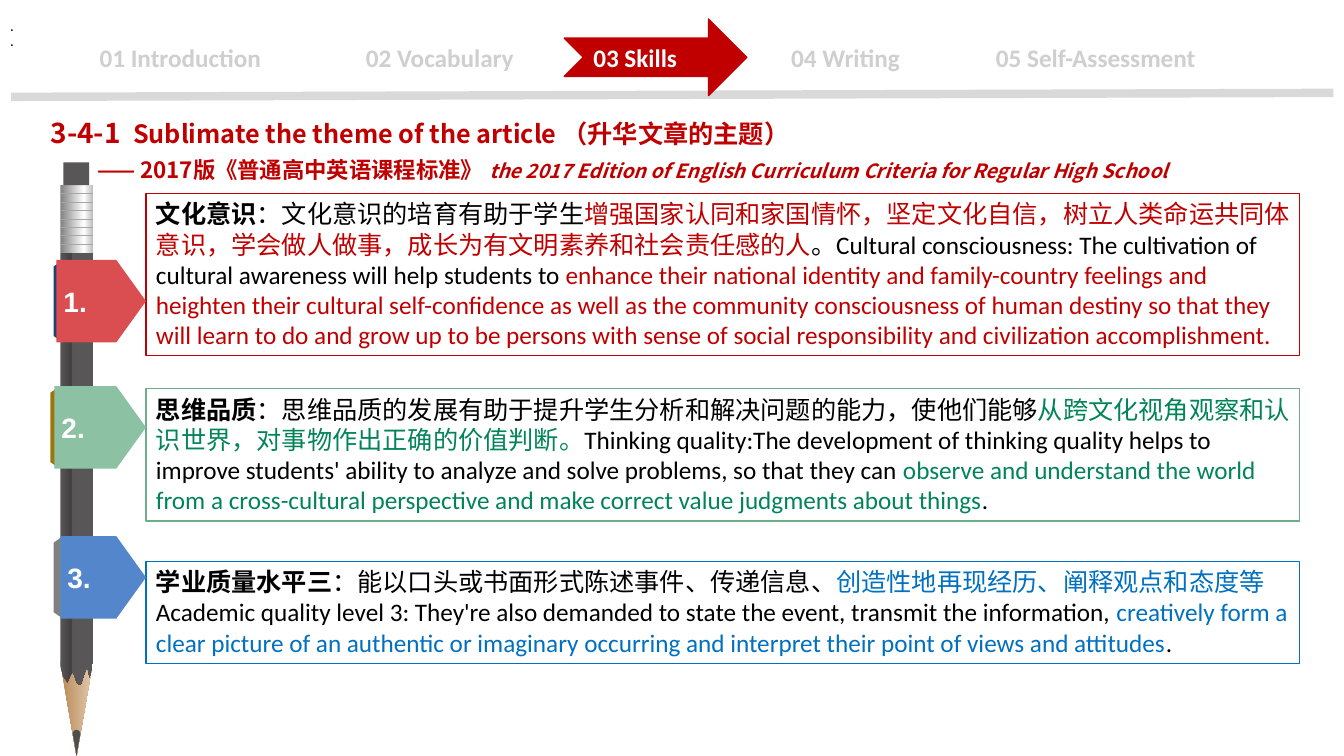
from lxml.etree import SubElement
from pptx import Presentation
from pptx.dml.color import RGBColor
from pptx.enum.shapes import MSO_CONNECTOR as Connector, MSO_SHAPE as Preset
from pptx.enum.text import MSO_ANCHOR as Anchor, MSO_AUTO_SIZE as AutoSize, PP_ALIGN as Align
from pptx.oxml.ns import qn
from pptx.util import Cm, Pt

COLORS = {
    "white": "FFFFFF", "black": "000000", "red": "C00000", "green": "028458", "blue": "0070C0",
    "green_edge": "6DAD8A", "nav": "D0CECE", "rule": "D9D9D9",
    "red_tag": "DA4E51", "green_tag": "8CC1A3", "blue_tag": "5486CB",
    "red_fold": "21426E", "green_fold": "9C750F", "blue_fold": "808080",
    "graphite": "585656", "groove": "424040", "lead": "4C504C",
    "steel": "808080", "silver": "BFBFBF", "ring": "A6A6A6",
    "wood": "B88954", "light_wood": "E1C9AF",
}
CJK = "Noto Sans CJK SC"
NAV_ITEMS = [("01 Introduction", 2.51), ("02 Vocabulary", 9.22),
             ("04 Writing", 19.94), ("05 Self-Assessment", 25.1)]
CARDS = [
    {"box": (3.68, 4.88, 29.08, 4.09), "edge": "red", "pieces": [
        ("文化意识", "black", True),
        ("：文化意识的培育有助于学生", "black", False),
        ("增强国家认同和家国情怀，坚定文化自信，树立人类命运共同体意识，学会做人做事，"
         "成长为有文明素养和社会责任感的人", "red", False),
        ("。Cultural consciousness: The cultivation of cultural awareness will help students to",
         "black", False),
        (" enhance their national identity and family-country feelings and heighten their cultural "
         "self-confidence as well as the community consciousness of human destiny so that they will "
         "learn to do and grow up to be persons with sense of social responsibility and civilization "
         "accomplishment.", "red", False)]},
    {"box": (3.68, 9.8, 29.08, 3.33), "edge": "green_edge", "pieces": [
        ("思维品质", "black", True),
        ("：思维品质的发展有助于提升学生分析和解决问题的能力，使他们能够", "black", False),
        ("从跨文化视角观察和认识世界，对事物作出正确的价值判断。", "green", False),
        ("Thinking quality:The development of thinking quality helps to improve students' ability "
         "to analyze and solve problems, so that they can", "black", False),
        (" observe and understand the world from a cross-cultural perspective and make correct "
         "value judgments about things", "green", False),
        (".", "black", False)]},
    {"box": (3.68, 14.15, 29.08, 2.57), "edge": "blue", "pieces": [
        ("学业质量水平三", "black", True),
        ("：能以口头或书面形式陈述事件、传递信息、", "black", False),
        ("创造性地再现经历、阐释观点和态度等", "blue", False),
        (" Academic quality level 3: They're also demanded to state the event, transmit the "
         "information, ", "black", False),
        ("creatively form a clear picture of an authentic or imaginary occurring and interpret "
         "their point of views and attitudes", "blue", False),
        (".", "black", False)]},
]
TAGS = [("1.", (1.42, 6.55, 2.26, 2.08), "red", 1.35),
        ("2.", (1.37, 9.73, 2.31, 2.08), "green", 1.27),
        ("3.", (1.52, 13.51, 2.16, 2.08), "blue", 1.35)]


def rgb(key):
    return RGBColor.from_string(COLORS[key])


def style_run(run, size, color, bold=True, italic=False, font="Calibri"):
    run.font.size, run.font.bold, run.font.italic = Pt(size), bold, italic
    run.font.name = font
    run.font.color.rgb = rgb(color)
    SubElement(run._r.get_or_add_rPr(), qn("a:ea")).set("typeface", font)


def add_piece(paragraph, text, *style, **options):
    run = paragraph.add_run()
    run.text = text
    style_run(run, *style, **options)


def paint(shape, fill=None, edge=None, width=0.75):
    shape.shadow.inherit = False
    if fill:
        shape.fill.solid()
        shape.fill.fore_color.rgb = rgb(fill)
    else:
        shape.fill.background()
    if edge:
        shape.line.color.rgb = rgb(edge)
        shape.line.width = Pt(width)
    else:
        shape.line.fill.background()


def paint_gradient(shape, stops):
    paint(shape)
    shape.fill.gradient()
    shape.fill.gradient_angle = 0
    stop_list = shape._element.spPr.find(".//" + qn("a:gsLst"))
    for stop in list(stop_list):
        stop_list.remove(stop)
    for position, color in stops:
        stop = SubElement(stop_list, qn("a:gs"), pos=str(position * 1000))
        SubElement(stop, qn("a:srgbClr"), val=COLORS[color])


def add_preset(slide, preset, box):
    return slide.shapes.add_shape(preset, *map(Cm, box))


def add_rule(slide, start, end, color, width):
    rule = slide.shapes.add_connector(Connector.STRAIGHT, *map(Cm, start + end))
    rule.line.color.rgb = rgb(color)
    rule.line.width = Pt(width)
    SubElement(rule._element.spPr, qn("a:effectLst"))
    return rule


def add_label(slide, box, inset=0.0):
    frame = slide.shapes.add_textbox(*map(Cm, box)).text_frame
    frame.word_wrap = True
    frame.margin_left = frame.margin_right = Cm(inset)
    frame.margin_top = frame.margin_bottom = 0
    frame.vertical_anchor = Anchor.MIDDLE
    return frame


def add_navigation(slide, box):
    left, top, width, height = box
    add_rule(slide, (left, top + 1.96), (left + width, top + 1.86), "rule", 6)
    for item, item_left in NAV_ITEMS:
        label = add_label(slide, (item_left, top + 0.38, 6, 1.2))
        label.text = item
        style_run(label.paragraphs[0].runs[0], 18, "nav")
    current = add_preset(slide, Preset.NOTCHED_RIGHT_ARROW, (left + 13.94, top, 4.6, height))
    paint(current, "red", "red", 1)
    current.text_frame.text = "03 Skills"
    current.text_frame.paragraphs[0].alignment = Align.LEFT
    style_run(current.text_frame.paragraphs[0].runs[0], 18, "white")
    for dot_top in (0.28, 0.64):
        dot = add_label(slide, (0, dot_top, 0.74, 0.74), 0.25)
        dot.text = "."
        style_run(dot.paragraphs[0].runs[0], 11, "black", bold=False, font="Arial")


def add_heading(slide, box):
    left, top, width, height = box
    title = slide.shapes.title
    title.left, title.top, title.width, title.height = map(Cm, box)
    frame = title.text_frame
    frame.word_wrap, frame.auto_size = True, AutoSize.NONE
    frame.vertical_anchor = Anchor.TOP
    heading = frame.paragraphs[0]
    heading.alignment = Align.LEFT
    add_piece(heading, "3-4-1 ", 20, "red", font=CJK)
    add_piece(heading, " Sublimate the theme of the article （升华文章的主题）", 18, "red", font=CJK)
    source = add_label(slide, (left + 1.43, top + height, width - 1.43, 0.92)).paragraphs[0]
    add_piece(source, "—— 2017版《普通高中英语课程标准》", 16, "red", font=CJK)
    add_piece(source, " ", 18, "red", font=CJK)
    add_piece(source, "the 2017 Edition of English Curriculum Criteria for Regular High School",
              14, "red", italic=True, font=CJK)


def add_card(slide, box, edge, pieces):
    card = add_preset(slide, Preset.RECTANGLE, box)
    paint(card, edge=edge)
    card.text_frame.word_wrap = True
    card.text_frame.vertical_anchor = Anchor.TOP
    paragraph = card.text_frame.paragraphs[0]
    paragraph.alignment = Align.LEFT
    for text, color, bold in pieces:
        add_piece(paragraph, text, 18, color, bold)


def add_pencil(slide, box):
    left, top, width, height = box

    def outline(points):
        corners = [(Cm(left + x), Cm(top + y)) for x, y in points]
        builder = slide.shapes.build_freeform(*corners[0])
        builder.add_line_segments(corners[1:])
        return builder.convert_to_shape()

    middle = width / 2
    wood = outline([(0, 12.6), (width, 12.6), (middle, height)])
    paint_gradient(wood, [(0, "wood"), (100, "light_wood")])
    barrel = outline([(0, 2.28), (width, 2.28), (width, 12.62), (0.74, 12.98), (0.7, 12.8),
                      (0.66, 12.75), (0.61, 12.88), (0.53, 13.13), (0.48, 13.18), (0.41, 13.1),
                      (0.34, 12.89), (0.3, 12.85), (0.26, 12.92), (0.18, 13.11), (0.07, 12.95),
                      (0, 12.7)])
    paint_gradient(barrel, [(0, "graphite"), (34, "groove"), (38, "graphite"), (100, "graphite")])
    ferrule_top, ferrule_height = top + 0.58, 1.7
    ferrule = add_preset(slide, Preset.RECTANGLE, (left, ferrule_top, width, ferrule_height))
    paint_gradient(ferrule, [(0, "steel"), (73, "white"), (100, "silver")])
    paint(add_preset(slide, Preset.RECTANGLE, (left + 0.08, top, width - 0.17, 0.58)), "graphite")
    paint(outline([(middle - 0.1, 14.38), (middle - 0.06, 14.32), (middle, 14.3),
                   (middle + 0.06, 14.32), (middle + 0.1, 14.38), (middle, height)]), "lead")
    for step in range(1, 8):
        ring_top = ferrule_top + ferrule_height * step / 8
        ring = add_rule(slide, (left, ring_top), (left + width, ring_top), "ring", 0.75)
        if step == 4:
            ring.begin_connect(ferrule, 1)
            ring.end_connect(ferrule, 3)


def add_tag(slide, number, box, hue, fold_left):
    left, top, width, height = box
    length, depth = 2.0, 0.18
    fold = add_preset(slide, Preset.TRAPEZOID, (fold_left + (depth - length) / 2,
                                                top + (height - depth) / 2, length, depth))
    fold.rotation = 270
    fold.adjustments[0] = 0.7
    paint(fold, hue + "_fold")
    tag = add_preset(slide, Preset.PENTAGON, box)
    tag.adjustments[0] = 0.36
    paint(tag, hue + "_tag")
    tag.text_frame.margin_left = Cm(0.18)
    tag.text_frame.text = number
    tag.text_frame.paragraphs[0].alignment = Align.LEFT
    style_run(tag.text_frame.paragraphs[0].runs[0], 20, "white", font="Arial")


def main():
    deck = Presentation()
    deck.slide_width, deck.slide_height = Cm(33.87), Cm(19.05)
    slide = deck.slides.add_slide(deck.slide_layouts[5])
    add_navigation(slide, (0.28, 0.48, 33.32, 1.93))
    add_heading(slide, (1.02, 2.79, 32.44, 1.0))
    for card in CARDS:
        add_card(slide, **card)
    add_pencil(slide, (1.52, 4.09, 0.82, 14.96))
    for tag in TAGS:
        add_tag(slide, *tag)
    deck.save("out.pptx")


if __name__ == "__main__":
    main()
